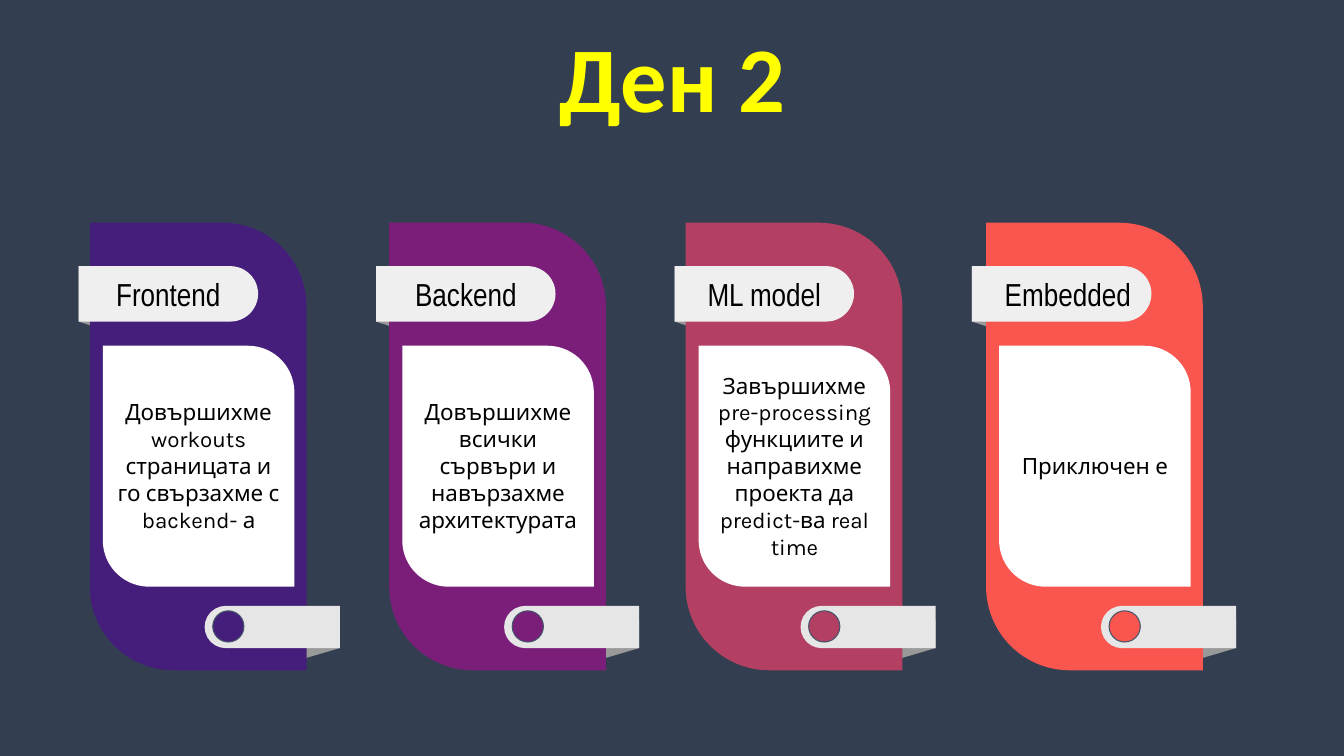
"""Build the day 2 progress slide with four team cards."""
from pptx import Presentation
from pptx.dml.color import RGBColor
from pptx.enum.shapes import MSO_SHAPE as SHAPE
from pptx.enum.text import MSO_ANCHOR as ANCHOR, PP_ALIGN as ALIGN
from pptx.util import Inches, Pt

BACKGROUND = RGBColor(0x33, 0x3F, 0x50)
YELLOW = RGBColor(0xFF, 0xFF, 0x00)
BLACK = RGBColor(0x00, 0x00, 0x00)
WHITE = RGBColor(0xFF, 0xFF, 0xFF)
TAG = RGBColor(0xEF, 0xEF, 0xEF)
HANDLE = RGBColor(0xE7, 0xE6, 0xE6)
FOLD = RGBColor(0x99, 0x99, 0x99)
OUTLINE = RGBColor(0x44, 0x54, 0x6A)
INDIGO = RGBColor(0x45, 0x1E, 0x7B)
PURPLE = RGBColor(0x7B, 0x1E, 0x7A)
ROSE = RGBColor(0xB3, 0x3F, 0x62)
CORAL = RGBColor(0xF9, 0x56, 0x4F)

CARDS = [
    (0.89, 0.78, 0.64, INDIGO, "Frontend",
     "Довършихме workouts страницата и го свързахме с backend- а"),
    (3.86, 3.73, 3.59, PURPLE, "Backend",
     "Довършихме всички сървъри и навързахме архитектурата"),
    (6.8, 6.69, 6.55, ROSE, "ML model",
     "Завършихме pre-processing функциите и направихме проекта да predict-ва real time"),
    (9.78, 9.64, 9.56, CORAL, "Embedded", "Приключен е"),
]


class Deck:
    """Hold the style and the current slide."""

    def __init__(self):
        self.prs = Presentation()
        self.prs.slide_width, self.prs.slide_height = Inches(13.33), Inches(7.5)
        self.s = self.prs.slides.add_slide(self.prs.slide_layouts[6])
        self.s.background.fill.solid()
        self.s.background.fill.fore_color.rgb = BACKGROUND

    def paint(self, sp, fill, line=None):
        """Give a shape a flat fill and an optional thin outline."""
        sp.shadow.inherit = False
        sp.fill.solid()
        sp.fill.fore_color.rgb = fill
        if line is None:
            sp.line.fill.background()
        else:
            sp.line.color.rgb = line
            sp.line.width = Pt(0.75)
        return sp

    def shape(self, kind, x, y, w, h, fill, line=None, adj=()):
        """Add a preset shape."""
        sp = self.s.shapes.add_shape(kind, Inches(x), Inches(y), Inches(w), Inches(h))
        for i, value in enumerate(adj):
            sp.adjustments[i] = value
        return self.paint(sp, fill, line)

    def leaf(self, x, y, w, h, radius, fill):
        """Add a rectangle rounded at top right and bottom left."""
        self.shape(SHAPE.ROUND_2_DIAG_RECTANGLE, x, y, w, h, fill, adj=(0, radius / w))

    def tab(self, x, y, w, h, fill, rotation):
        """Add a bar with one round end, turned on its side."""
        sp = self.shape(SHAPE.ROUND_2_SAME_RECTANGLE, x + (w - h) / 2, y + (h - w) / 2,
                        h, w, fill, adj=(0.5, 0))
        sp.rotation = rotation

    def polygon(self, points, fill):
        """Add a closed outline through the points."""
        start, *rest = [(Inches(x), Inches(y)) for x, y in points]
        fb = self.s.shapes.build_freeform(*start)
        fb.add_line_segments(rest, close=True)
        self.paint(fb.convert_to_shape(), fill)

    def text(self, text, x, y, w, h, size=16, font="Karla", color=BLACK, bold=False, spacing=1.0):
        """Add centred text."""
        tf = self.s.shapes.add_textbox(Inches(x), Inches(y), Inches(w), Inches(h)).text_frame
        tf.word_wrap = True
        tf.vertical_anchor = ANCHOR.MIDDLE
        tf.margin_left = tf.margin_right = tf.margin_top = tf.margin_bottom = Inches(0.13)
        p = tf.paragraphs[0]
        p.alignment = ALIGN.CENTER
        p.line_spacing = spacing
        r = p.add_run()
        r.text = text
        r.font.size, r.font.name, r.font.bold = Pt(size), font, bold
        r.font.color.rgb = color

    def card(self, x, tag_x, label_x, color, label, body):
        """Add one team card with its tag, panel and handle."""
        fold_x, foot_x = tag_x + 0.52, x + 2.07
        self.polygon([(tag_x, 2.64), (tag_x, 3.19), (fold_x, 3.36), (fold_x, 2.81)], FOLD)
        self.polygon([(foot_x + 0.41, 6.15), (foot_x, 6.28), (foot_x, 6.55),
                      (foot_x + 0.41, 6.43)], FOLD)
        self.leaf(x, 2.21, 2.15, 4.44, 0.83, color)
        self.tab(tag_x, 2.64, 1.78, 0.55, TAG, 90)
        self.tab(x + 1.14, 6.01, 1.34, 0.42, HANDLE, 270)
        self.shape(SHAPE.OVAL, x + 1.22, 6.06, 0.31, 0.31, color, OUTLINE)
        self.leaf(x + 0.13, 3.43, 1.9, 2.39, 0.46, WHITE)
        self.text(label, label_x, 2.64, 2.06, 0.55, size=22.7, font="Arial Narrow")
        self.text(body, x + 0.13, 4.03, 1.9, 1.18)


def main():
    """Build and save the slide."""
    deck = Deck()
    deck.text("Ден 2", 1.04, 0.47, 11.26, 0.7, size=66, font="Calibri",
              color=YELLOW, bold=True, spacing=0.9)
    for card in CARDS:
        deck.card(*card)
    deck.prs.save("out.pptx")


if __name__ == "__main__":
    main()
